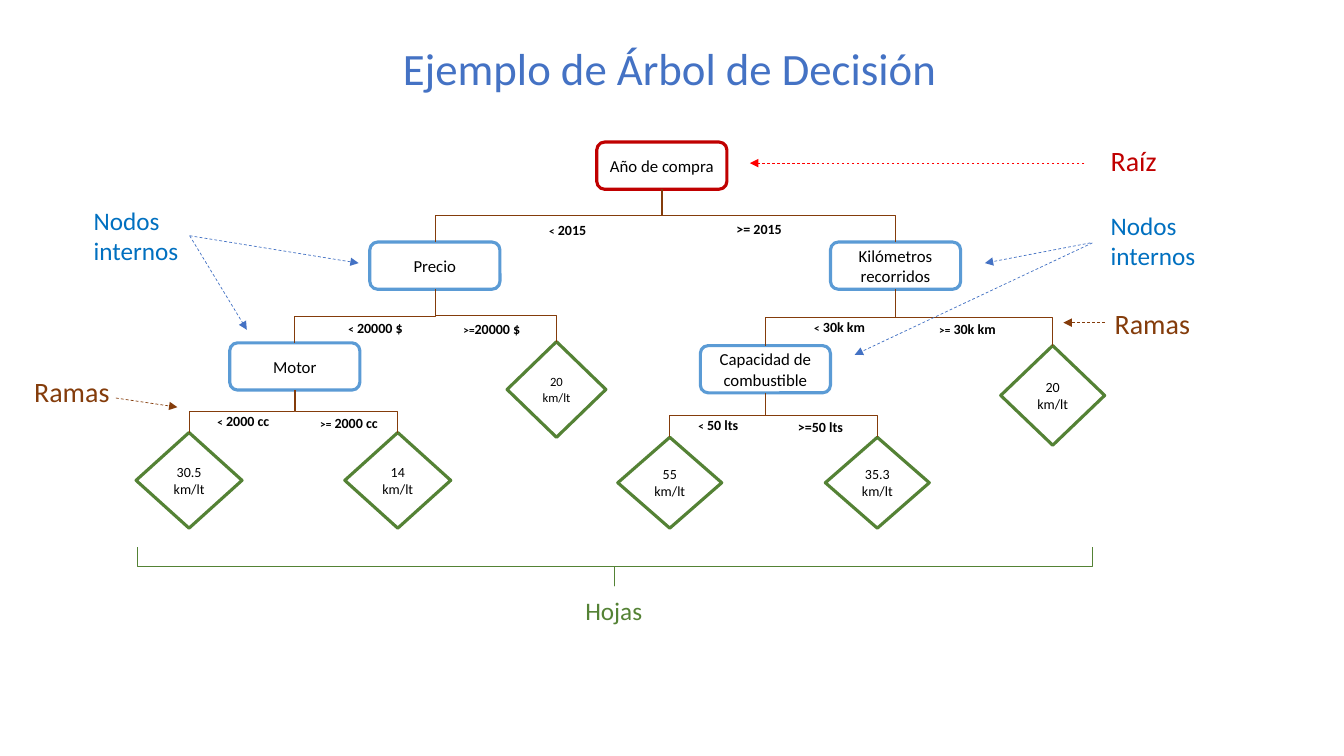
from dataclasses import dataclass

from lxml.etree import SubElement
from pptx import Presentation
from pptx.dml.color import RGBColor
from pptx.enum.dml import MSO_LINE
from pptx.enum.shapes import MSO_CONNECTOR, MSO_SHAPE
from pptx.enum.text import MSO_ANCHOR, PP_ALIGN
from pptx.oxml.ns import qn
from pptx.shapes.autoshape import Shape
from pptx.shapes.connector import Connector
from pptx.slide import Slide
from pptx.text.text import TextFrame
from pptx.util import Cm, Pt


@dataclass(frozen=True)
class Theme:
    """Font, colours, type sizes and line widths of the slide."""
    font: str = "Calibri"
    title: RGBColor = RGBColor(0x44, 0x72, 0xC4)
    text: RGBColor = RGBColor(0, 0, 0)
    paper: RGBColor = RGBColor(0xFF, 0xFF, 0xFF)
    root: RGBColor = RGBColor(0xC0, 0, 0)
    root_arrow: RGBColor = RGBColor(0xFF, 0, 0)
    inner: RGBColor = RGBColor(0x5B, 0x9B, 0xD5)
    inner_label: RGBColor = RGBColor(0, 0x70, 0xC0)
    branch: RGBColor = RGBColor(0x84, 0x3C, 0x0B)
    leaf: RGBColor = RGBColor(0x54, 0x82, 0x35)
    title_size: int = 32
    large: int = 20
    medium: int = 18
    node: int = 12
    small: int = 10
    smaller: int = 9
    operator: int = 8
    outline: float = 2.25
    hairline: float = 0.5


THEME = Theme()


@dataclass(frozen=True)
class Node:
    """A decision box or leaf diamond, in centimetres."""
    name: str
    text: str
    left: float
    top: float
    width: float = 3.28
    height: float = 1.19
    color: RGBColor = THEME.inner
    size: int = THEME.node
    preset: MSO_SHAPE = MSO_SHAPE.ROUNDED_RECTANGLE


def leaf(name: str, text: str, left: float, top: float, width: float,
         height: float, size: int = THEME.small) -> Node:
    """Describe a leaf diamond."""
    return Node(name, text, left, top, width, height, THEME.leaf, size, MSO_SHAPE.DIAMOND)


@dataclass(frozen=True)
class Label:
    """A coloured caption naming a part of the tree."""
    text: str
    left: float
    top: float
    width: float
    height: float
    color: RGBColor
    size: int


@dataclass(frozen=True)
class Condition:
    """The test written beside a branch."""
    operator: str
    value: str
    left: float
    top: float
    width: float
    operator_size: int = THEME.operator


@dataclass(frozen=True)
class Arrow:
    """A dashed pointer from a caption to the tree."""
    start: tuple[float, float]
    end: tuple[float, float]
    color: RGBColor


NODES = [
    Node("year", "Año de compra", 15.04, 3.58, color=THEME.root),
    Node("price", "Precio", 9.32, 6.1),
    Node("distance", "Kilómetros recorridos", 20.93, 6.1),
    Node("engine", "Motor", 5.79, 8.64),
    Node("fuel", "Capacidad de combustible", 17.65, 8.71),
    leaf("expensive", "20 km/lt", 12.78, 8.61, 2.49, 2.41, THEME.smaller),
    leaf("small engine", "30.5 km/lt", 3.43, 10.9, 2.67, 2.41),
    leaf("big engine", "14 km/lt", 8.69, 10.9, 2.67, 2.41),
    leaf("far", "20 km/lt", 25.22, 8.71, 2.62, 2.51),
    leaf("small tank", "55 km/lt", 15.57, 11.02, 2.62, 2.29),
    leaf("big tank", "35.3 km/lt", 20.8, 11.02, 2.62, 2.29),
]
CHILDREN = {
    "year": ("price", "distance"),
    "price": ("engine", "expensive"),
    "distance": ("fuel", "far"),
    "engine": ("small engine", "big engine"),
    "fuel": ("small tank", "big tank"),
}
CONDITIONS = [
    Condition("<", " 2015", 13.59, 5.46, 1.47),
    Condition(">=", " 2015", 18.31, 5.44, 1.68, THEME.small),
    Condition("<", " 20000 $", 8.53, 7.92, 1.91),
    Condition(">=", "20000 $", 11.43, 7.95, 1.98),
    Condition("<", " 30k km", 20.27, 7.9, 1.8),
    Condition(">=", " 30k km", 23.42, 7.95, 1.96),
    Condition("<", " 2000 cc", 5.23, 10.26, 1.85),
    Condition(">=", " 2000 cc", 7.82, 10.31, 1.98),
    Condition("<", " 50 lts", 17.35, 10.36, 1.55),
    Condition(">=", "50 lts", 19.86, 10.41, 1.68, THEME.small),
]
LABELS = [
    Label("Raíz", 27.74, 3.48, 1.68, 1.12, THEME.root, THEME.large),
    Label("Nodos\ninternos", 2.11, 5.05, 2.67, 1.8, THEME.inner_label, THEME.medium),
    Label("Nodos\ninternos", 27.74, 5.18, 2.67, 1.8, THEME.inner_label, THEME.medium),
    Label("Ramas", 27.84, 7.59, 2.44, 1.12, THEME.branch, THEME.large),
    Label("Ramas", 0.61, 9.32, 2.44, 1.12, THEME.branch, THEME.large),
    Label("Hojas", 14.5, 14.88, 1.96, 1.02, THEME.leaf, THEME.medium),
]
ARROWS = [
    Arrow((27.33, 4.11), (18.9, 4.11), THEME.root_arrow),
    Arrow((27.48, 6.12), (24.82, 6.63), THEME.title),
    Arrow((27.53, 6.12), (21.54, 8.94), THEME.title),
    Arrow((4.78, 5.94), (9.04, 6.63), THEME.title),
    Arrow((4.78, 5.94), (6.22, 8.31), THEME.title),
    Arrow((27.84, 8.13), (26.8, 8.13), THEME.branch),
    Arrow((2.92, 10.03), (4.47, 10.26), THEME.branch),
]


def format_text(frame: TextFrame, size: int, color: RGBColor,
                align: PP_ALIGN = PP_ALIGN.LEFT, bold: bool = False) -> None:
    """Apply one font and alignment to every paragraph."""
    for para in frame.paragraphs:
        para.alignment = align
        para.font.name, para.font.size, para.font.bold = THEME.font, Pt(size), bold
        para.font.color.rgb = color


def style_connector(line: Connector, color: RGBColor) -> None:
    """Give a connector a thin line without a shadow."""
    line.line.color.rgb = color
    line.line.width = Pt(THEME.hairline)
    SubElement(line._element.spPr, qn("a:effectLst"))


def add_title(slide: Slide, text: str) -> None:
    """Fill and place the title placeholder."""
    title = slide.shapes.title
    title.left, title.top, title.width, title.height = Cm(9.83), Cm(0.91), Cm(14.1), Cm(1.63)
    title.text_frame.text = text
    title.text_frame.word_wrap = False
    title.text_frame.vertical_anchor = MSO_ANCHOR.TOP
    format_text(title.text_frame, THEME.title_size, THEME.title, PP_ALIGN.CENTER)


def add_node(slide: Slide, node: Node) -> Shape:
    """Draw a box or diamond with its text."""
    box = slide.shapes.add_shape(node.preset, Cm(node.left), Cm(node.top),
                                 Cm(node.width), Cm(node.height))
    box.shadow.inherit = False
    box.fill.solid()
    box.fill.fore_color.rgb = THEME.paper
    box.line.color.rgb = node.color
    box.line.width = Pt(THEME.outline)
    frame = box.text_frame
    frame.margin_left = frame.margin_right = Cm(0.15)
    frame.margin_top = frame.margin_bottom = 0
    frame.word_wrap = True
    frame.vertical_anchor = MSO_ANCHOR.MIDDLE
    frame.text = node.text
    format_text(frame, node.size, THEME.text, PP_ALIGN.CENTER)
    return box


def add_branch(slide: Slide, parent: Shape, child: Shape) -> None:
    """Join a parent's bottom to a child's top, leaving vertically."""
    branch = slide.shapes.add_connector(MSO_CONNECTOR.ELBOW, 0, 0, 0, 0)
    branch.begin_connect(parent, 2)
    branch.end_connect(child, 0)
    start_x, start_y = parent.left + parent.width // 2, parent.top + parent.height
    end_x, end_y = child.left + child.width // 2, child.top
    # The elbow runs sideways first, so its frame is turned a quarter.
    branch.width, branch.height = end_y - start_y, abs(end_x - start_x)
    branch.left = (start_x + end_x - branch.width) // 2
    branch.top = (start_y + end_y - branch.height) // 2
    goes_right = end_x > start_x
    frame = branch._element.spPr.find(qn("a:xfrm"))
    frame.set("rot", str((270 if goes_right else 90) * 60000))
    frame.set("flipH", "1" if goes_right else "0")
    style_connector(branch, THEME.branch)


def add_label(slide: Slide, label: Label) -> None:
    """Write a caption."""
    box = slide.shapes.add_textbox(Cm(label.left), Cm(label.top),
                                   Cm(label.width), Cm(label.height))
    box.text_frame.text = label.text
    format_text(box.text_frame, label.size, label.color)


def add_condition(slide: Slide, condition: Condition) -> None:
    """Write a branch test with its own operator size."""
    box = slide.shapes.add_textbox(Cm(condition.left), Cm(condition.top),
                                   Cm(condition.width), Cm(0.69))
    para = box.text_frame.paragraphs[0]
    for text in (condition.operator, condition.value):
        para.add_run().text = text
    format_text(box.text_frame, THEME.small, THEME.text, bold=True)
    para.runs[0].font.size = Pt(condition.operator_size)


def add_arrow(slide: Slide, arrow: Arrow) -> None:
    """Draw a dashed line ending in a triangle."""
    line = slide.shapes.add_connector(MSO_CONNECTOR.STRAIGHT,
                                      *map(Cm, arrow.start + arrow.end))
    style_connector(line, arrow.color)
    line.line.dash_style = MSO_LINE.DASH
    SubElement(line.line._get_or_add_ln(), qn("a:tailEnd"), type="triangle")


def add_leaf_brace(slide: Slide) -> None:
    """Draw the square brace beneath the leaves."""
    brace = slide.shapes.add_shape(MSO_SHAPE.LEFT_BRACE, Cm(15.01), Cm(2.24), Cm(0.97), Cm(24.08))
    brace.rotation = 270
    brace.adjustments[0] = 0
    brace.shadow.inherit = False
    brace.fill.background()
    brace.line.color.rgb = THEME.leaf
    brace.line.width = Pt(THEME.hairline)


def main() -> None:
    """Build and save the decision tree slide."""
    deck = Presentation()
    deck.slide_width, deck.slide_height = Cm(33.87), Cm(19.05)
    page = deck.slides.add_slide(deck.slide_layouts.get_by_name("Title Only"))
    add_title(page, "Ejemplo de Árbol de Decisión")
    boxes = {node.name: add_node(page, node) for node in NODES}
    for parent, children in CHILDREN.items():
        for child in children:
            add_branch(page, boxes[parent], boxes[child])
    for arrow in ARROWS:
        add_arrow(page, arrow)
    add_leaf_brace(page)
    for label in LABELS:
        add_label(page, label)
    for condition in CONDITIONS:
        add_condition(page, condition)
    deck.save("out.pptx")


main()
